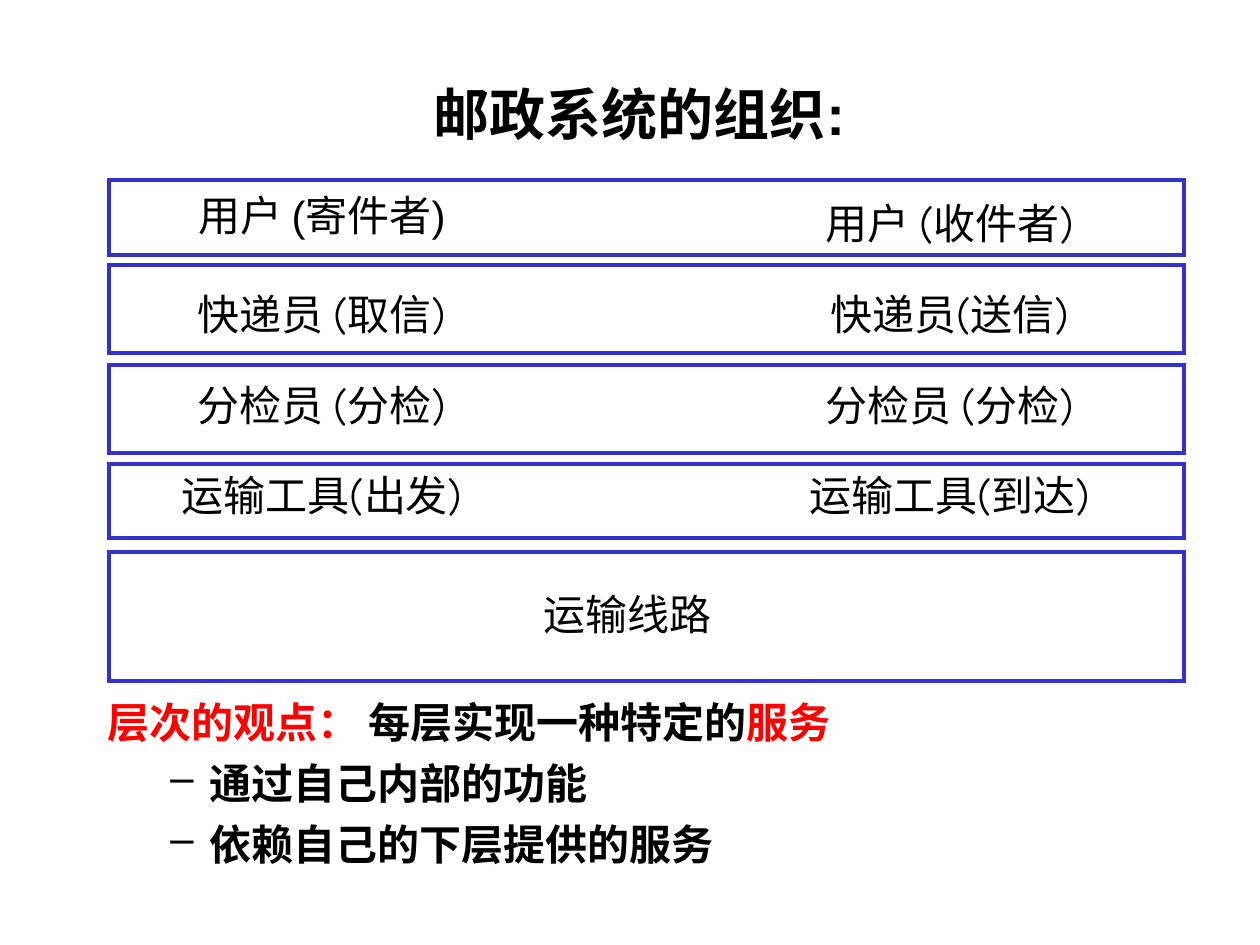
from lxml import etree
from pptx import Presentation
from pptx import util as u
from pptx.dml.color import RGBColor
from pptx.enum import shapes, text
from pptx.oxml.ns import qn

PX = 914400 / 126
COLORS = {"text": "000000", "accent": "FF0000", "border": "3333CC"}
ARIAL, COMIC, TIMES = "Arial", "Comic Neue", "Times New Roman"


def add_text_box(left, top, width, height):
    box = slide.shapes.add_textbox(*[u.Emu(round(v * PX)) for v in (left, top, width, height)])
    box.text_frame.word_wrap = True
    return box.text_frame


def add_runs(paragraph, runs, size=24, bold=False):
    """Fill a paragraph with (wording, font, colour name) runs."""
    for wording, font, color in runs:
        run = paragraph.add_run()
        run.text = wording
        run.font.name = font
        run.font.size = u.Pt(size)
        run.font.bold = bold
        run.font.color.rgb = RGBColor.from_string(COLORS[color])


presentation = Presentation()
presentation.slide_width = u.Inches(10)
presentation.slide_height = u.Inches(7.5)
slide = presentation.slides.add_slide(presentation.slide_layouts[6])

# Title
title = add_text_box(73, 72, 1133, 83)
title.vertical_anchor = text.MSO_ANCHOR.MIDDLE
title.paragraphs[0].alignment = text.PP_ALIGN.CENTER
add_runs(title.paragraphs[0], [("邮政系统的组织:", ARIAL, "text")], size=32, bold=True)

# Layered view
view = add_text_box(95, 690, 1071, 189)
points = [
    [("层次的观点： ", ARIAL, "accent"), ("每层实现一种特定的", ARIAL, "text"),
     ("服务", ARIAL, "accent")],
    [("通过自己内部的功能", ARIAL, "text")],
    [("依赖自己的下层提供的服务", ARIAL, "text")],
]
for index, runs in enumerate(points):
    paragraph = view.paragraphs[0] if index == 0 else view.add_paragraph()
    paragraph.space_before = u.Pt(6)
    add_runs(paragraph, runs, bold=True)
    margin, hanging = (102, 39) if index else (48, 48)
    properties = paragraph._p.get_or_add_pPr()
    properties.set("marL", str(round(margin * PX)))
    properties.set("indent", str(round(-hanging * PX)))
    if index:
        paragraph.level = 1
        bullet_color = etree.SubElement(properties, qn("a:buClr"))
        etree.SubElement(bullet_color, qn("a:srgbClr")).set("val", COLORS["text"])
        etree.SubElement(properties, qn("a:buChar")).set("char", "–")

# Sender and receiver columns: box, gap before the second line, lines
columns = [
    ((124, 189, 396, 428), 54, [
        [("用户 (寄件者)", ARIAL)],
        [("快递员 (取信)", COMIC)],
        [("分检员 (分检)", COMIC)],
        [("运输", COMIC), ("工具", TIMES), ("(出发)", COMIC)],
    ]),
    ((760, 197, 380, 421), 46, [
        [("用户 (收件者)", COMIC)],
        [("快递员", TIMES), ("(送信)", COMIC)],
        [("分检员 ", TIMES), ("(", COMIC), ("分检", TIMES), (")", COMIC)],
        [("运输工具", TIMES), ("(到达)", COMIC)],
    ]),
]
for box, second_gap, lines in columns:
    column = add_text_box(*box)
    for index, line in enumerate(lines):
        paragraph = column.paragraphs[0] if index == 0 else column.add_paragraph()
        paragraph.alignment = text.PP_ALIGN.CENTER
        paragraph.line_spacing = 0.9
        if index:
            gap = second_gap if index == 1 else 45
            paragraph.space_before = u.Emu(round(gap * PX))
        add_runs(paragraph, [(wording, font, "text") for wording, font in line])

# Shared bottom layer
route = add_text_box(517, 582, 221, 63)
route.paragraphs[0].alignment = text.PP_ALIGN.CENTER
add_runs(route.paragraphs[0], [("运输线路", COMIC, "text")])

# Layer frames
for top, height in [(180, 75), (265, 88), (365, 88), (464, 74), (552, 129)]:
    frame = slide.shapes.add_shape(
        shapes.MSO_SHAPE.RECTANGLE,
        *[u.Emu(round(v * PX)) for v in (109, top, 1075, height)])
    frame.shadow.inherit = False
    frame.fill.background()
    frame.line.color.rgb = RGBColor.from_string(COLORS["border"])
    frame.line.width = u.Pt(2.25)
    outline = frame._element.spPr.find(qn("a:ln"))
    etree.SubElement(outline, qn("a:miter")).set("lim", "800000")

presentation.save("out.pptx")
